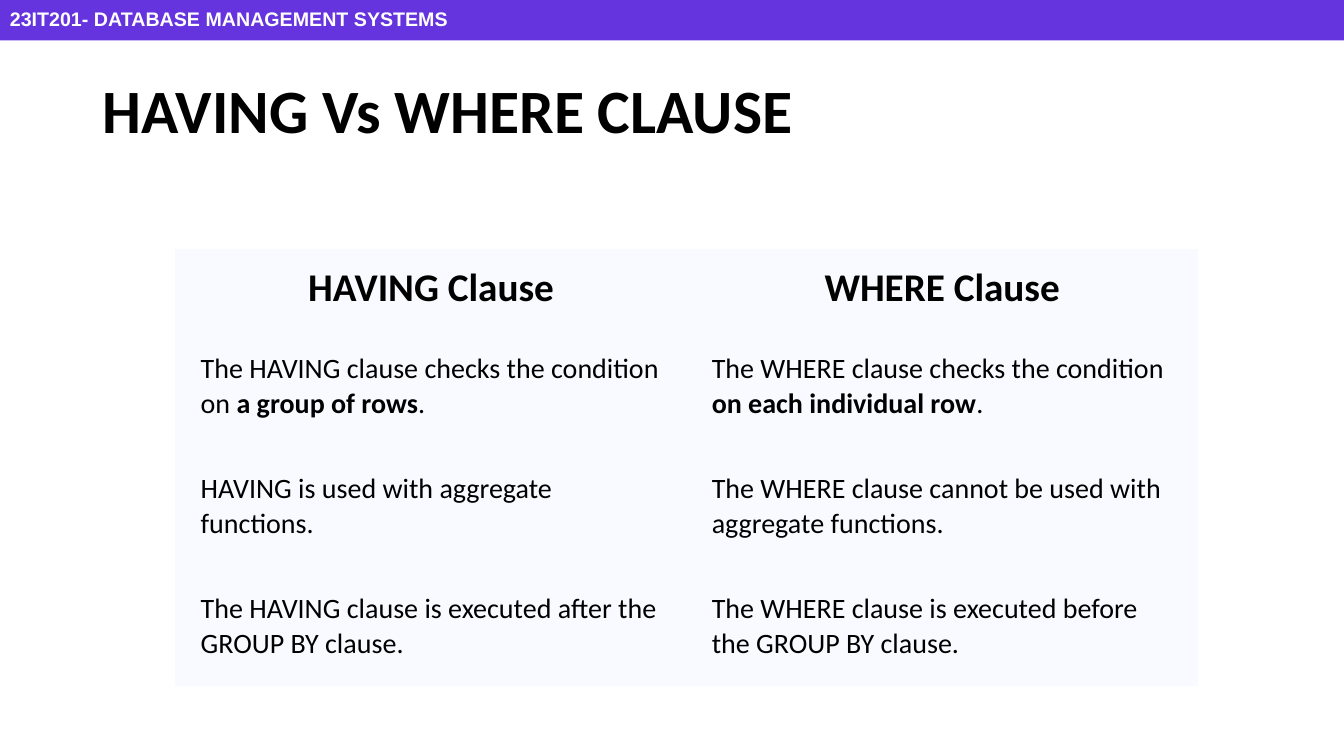
from pptx import Presentation
from pptx.dml.color import RGBColor
from pptx.enum.shapes import MSO_SHAPE as Shape
from pptx.enum.text import MSO_ANCHOR as Anchor, PP_ALIGN as Align
from pptx.util import Inches, Pt

BLACK = RGBColor(0, 0, 0)
WHITE = RGBColor(255, 255, 255)
PURPLE = RGBColor(0x65, 0x34, 0xDE)
PALE = RGBColor(0xF8, 0xFA, 0xFF)
PLAIN = "{2D5ABB26-0587-4C30-8999-92F81FD0307C}"

HEADS = ["HAVING Clause", "WHERE Clause"]
ROWS = [
    [["The HAVING clause checks the condition on ", "a group of rows", "."],
     ["The WHERE clause checks the condition ", "on each individual row", "."]],
    [["HAVING is used with aggregate functions."],
     ["The WHERE clause cannot be used with aggregate functions."]],
    [["The HAVING clause is executed after the GROUP BY clause."],
     ["The WHERE clause is executed before the GROUP BY clause."]],
]


class Deck:
    """Hold the text style and the current slide."""

    def __init__(self, show):
        self.slide = show.slides.add_slide(show.slide_layouts[5])
        self.style = {"name": "Calibri", "size": Pt(20), "bold": False}

    def label(self, para, text, color=BLACK, **style):
        run = para.add_run()
        run.text = text
        for key, value in {**self.style, **style}.items():
            setattr(run.font, key, value)
        run.font.color.rgb = color

    def title(self, text, *box):
        head = self.slide.shapes.title
        head.left, head.top, head.width, head.height = map(Inches, box)
        head.text_frame.vertical_anchor = Anchor.MIDDLE
        para = head.text_frame.paragraphs[0]
        para.alignment = Align.LEFT
        para.line_spacing = 0.9
        self.label(para, text, size=Pt(44), bold=True)

    def cell(self, cell):
        cell.fill.solid()
        cell.fill.fore_color.rgb = PALE
        cell.vertical_anchor = Anchor.MIDDLE
        cell.margin_left = cell.margin_right = Inches(0.25)
        cell.margin_top = cell.margin_bottom = Inches(0.12)
        return cell.text_frame.paragraphs[0]

    def table(self, heads, rows, tall, *box):
        frame = self.slide.shapes.add_table(
            len(rows) + 1, len(heads), *map(Inches, box))
        grid = frame.table
        grid._tbl.tblPr.find("{*}tableStyleId").text = PLAIN
        grid.horz_banding = False
        for row, size in zip(grid.rows, tall):
            row.height = Inches(size)
        for col, text in enumerate(heads):
            para = self.cell(grid.cell(0, col))
            para.alignment = Align.CENTER
            self.label(para, text, size=Pt(28), bold=True)
        for line, row in enumerate(rows, 1):
            for col, parts in enumerate(row):
                para = self.cell(grid.cell(line, col))
                for spot, text in enumerate(parts):
                    self.label(para, text, bold=spot == 1)

    def band(self, text, *box):
        bar = self.slide.shapes.add_shape(Shape.RECTANGLE, *map(Inches, box))
        bar.shadow.inherit = False
        bar.fill.solid()
        bar.fill.fore_color.rgb = PURPLE
        bar.line.fill.background()
        bar.text_frame.vertical_anchor = Anchor.MIDDLE
        para = bar.text_frame.paragraphs[0]
        para.alignment = Align.LEFT
        self.label(para, text, WHITE, name="Arial", size=Pt(14), bold=True)


def main():
    show = Presentation()
    show.slide_width, show.slide_height = Inches(13.33), Inches(7.5)
    deck = Deck(show)
    deck.title("HAVING Vs WHERE CLAUSE", 0.92, 0.4, 11.5, 1.45)
    deck.table(HEADS, ROWS, [0.77] + [1.19] * 3, 1.74, 2.47, 10.14, 4.33)
    deck.band("23IT201- DATABASE MANAGEMENT SYSTEMS", 0, -0.02, 13.33, 0.42)
    show.save("out.pptx")


if __name__ == "__main__":
    main()
